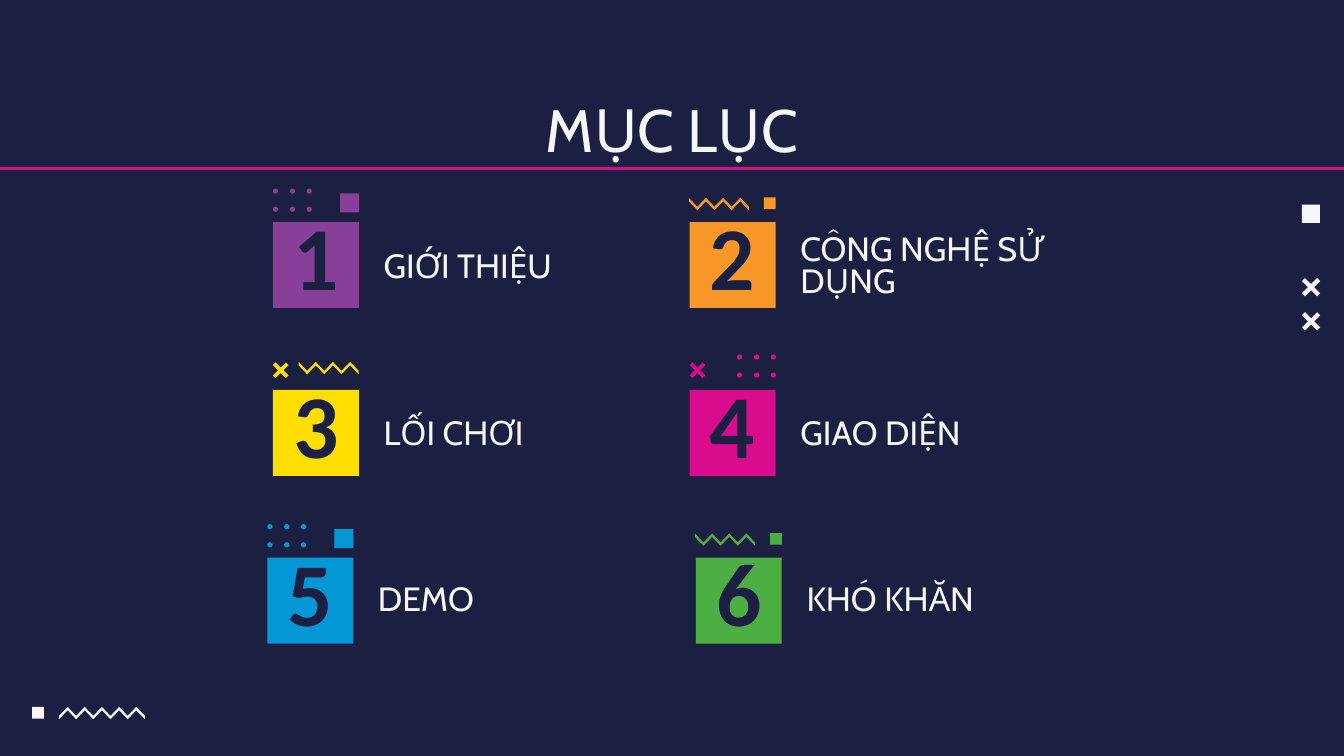
from dataclasses import dataclass

from lxml import etree
from pptx import Presentation
from pptx.dml.color import RGBColor
from pptx.enum import shapes as sh, text as tx
from pptx.oxml.ns import qn
from pptx.util import Pt


@dataclass(frozen=True)
class Theme:
    back: str = "1B1F42"
    light: str = "F6F6F6"
    purple: str = "883F98"
    orange: str = "F89829"
    yellow: str = "FFDE00"
    pink: str = "D80C8C"
    blue: str = "0397D6"
    green: str = "4CAE43"
    head: tuple = ("Cabin", 32, False)
    label: tuple = ("Cabin", 18, False)
    digit: tuple = ("Calibri", 48, True)


THEME = Theme()
CARD = 46
STEP, RISE, THICK = 4.6, 4.8, 1.8
INSET = Pt(7.2)
TOP = tx.MSO_ANCHOR.TOP
MIDDLE = tx.MSO_ANCHOR.MIDDLE
LEFT = tx.PP_ALIGN.LEFT
CENTER = tx.PP_ALIGN.CENTER


def assign(item, values):
    for name, value in values.items():
        setattr(item, name, value)


def paint(shape, color):
    shape.shadow.inherit = False
    shape.fill.solid()
    shape.fill.fore_color.rgb = RGBColor.from_string(color)
    shape.line.fill.background()


def write(shape, words, style, color, anchor, align, **para):
    frame = shape.text_frame
    assign(frame, {
        "text": words, "word_wrap": True, "vertical_anchor": anchor,
        "auto_size": tx.MSO_AUTO_SIZE.NONE,
        "margin_left": INSET, "margin_right": INSET,
        "margin_top": INSET, "margin_bottom": INSET,
    })
    line = frame.paragraphs[0]
    assign(line, {"alignment": align, **para})
    face, size, bold = style
    font = line.runs[0].font
    assign(font, {"name": face, "size": Pt(size), "bold": bold})
    font.color.rgb = RGBColor.from_string(color)


def add_preset(slide, kind, x, y, size, color):
    shape = slide.shapes.add_shape(kind, Pt(x), Pt(y), Pt(size), Pt(size))
    paint(shape, color)
    return shape


def add_square(slide, x, y, size, color):
    return add_preset(slide, sh.MSO_SHAPE.RECTANGLE, x, y, size, color)


def add_outline(slide, points, color):
    first, *rest = [(Pt(x), Pt(y)) for x, y in points]
    pen = slide.shapes.build_freeform(*first)
    pen.add_line_segments(rest, close=True)
    paint(pen.convert_to_shape(), color)


def add_cross(slide, x, y, size, color):
    near, far = 0.17, 0.83
    points = [(near, 0), (0.5, 0.33), (far, 0), (1, near), (0.67, 0.5), (1, far),
              (far, 1), (0.5, 0.67), (near, 1), (0, far), (0.33, 0.5), (0, near)]
    add_outline(slide, [(x + size * a, y + size * b) for a, b in points], color)


def add_zigzag(slide, x, y, count, color, low=0):
    edge = [(x + STEP * i, y + RISE * ((i + low) % 2)) for i in range(count + 1)]
    under = [(a, b + THICK) for a, b in reversed(edge)]
    add_outline(slide, edge + under, color)


def add_dots(slide, x, y, color):
    for row in range(2):
        for col in range(3):
            add_preset(slide, sh.MSO_SHAPE.OVAL, x + 9 * col, y + 9.7 * row, 2.8, color)


def add_rule(slide, y, color):
    rule = slide.shapes.add_connector(
        sh.MSO_CONNECTOR.STRAIGHT, Pt(-0.5), Pt(y), Pt(720.5), Pt(y))
    rule.line.width = Pt(1.5)
    rule.line.color.rgb = RGBColor.from_string(color)
    etree.SubElement(rule._element.spPr, qn("a:effectLst"))


def dots_square(slide, x, y, color):
    add_dots(slide, x, y - 18, color)
    add_square(slide, x + 36, y - 15.3, 10.2, color)


def wave_square(slide, x, y, color):
    add_zigzag(slide, x - 0.5, y - 13, 7, color)
    add_square(slide, x + 39.8, y - 13.2, 6.3, color)


def cross_wave(slide, x, y, color):
    add_cross(slide, x, y - 14.7, 8.4, color)
    add_zigzag(slide, x + 13.8, y - 15, 7, color)


def cross_dots(slide, x, y, color):
    add_cross(slide, x, y - 14.7, 8.4, color)
    add_dots(slide, x + 25.4, y - 19, color)


def add_card(slide, x, y, digit, words, color, trim, drop):
    card = add_square(slide, x, y, CARD, color)
    write(card, digit, THEME.digit, THEME.back, MIDDLE, CENTER, line_spacing=0.8)
    label = slide.shapes.add_textbox(Pt(x + 52.2), Pt(y + drop), Pt(182), Pt(29.5))
    write(label, words, THEME.label, THEME.light, TOP, LEFT,
          line_spacing=0.8, space_after=Pt(16))
    trim(slide, x, y, color)


def add_corners(slide, color):
    add_square(slide, 697.5, 109.7, 9.7, color)
    for y in (149, 167.3):
        add_cross(slide, 697.5, y, 9.8, color)
    add_square(slide, 17.2, 378.7, 6.3, color)
    add_zigzag(slide, 31.6, 378.7, 10, color, low=1)


def add_title(slide, words):
    title = slide.shapes.title
    assign(title, {"left": Pt(56), "top": Pt(42.5), "width": Pt(608), "height": Pt(53.3)})
    write(title, words, THEME.head, THEME.light, TOP, CENTER)


def main():
    deck = Presentation()
    assign(deck, {"slide_width": Pt(720), "slide_height": Pt(405)})
    slide = deck.slides.add_slide(deck.slide_layouts[5])
    slide.background.fill.solid()
    slide.background.fill.fore_color.rgb = RGBColor.from_string(THEME.back)
    add_corners(slide, THEME.light)
    add_rule(slide, 90.2, THEME.pink)
    add_title(slide, "MỤC LỤC")
    cards = [
        ("GIỚI THIỆU", THEME.purple, dots_square, 0, 9),
        ("CÔNG NGHỆ SỬ DỤNG", THEME.orange, wave_square, 0, 0),
        ("LỐI CHƠI", THEME.yellow, cross_wave, 0, 8.5),
        ("GIAO DIỆN", THEME.pink, cross_dots, 0, 8.5),
        ("DEMO", THEME.blue, dots_square, -3, 8),
        ("KHÓ KHĂN", THEME.green, wave_square, 3.3, 8),
    ]
    for i, (words, color, trim, shift, drop) in enumerate(cards):
        row, col = divmod(i, 2)
        add_card(slide, 146.2 + 223.3 * col + shift, 119 + 89.9 * row,
                 str(i + 1), words, color, trim, drop)
    deck.save("out.pptx")


if __name__ == "__main__":
    main()
